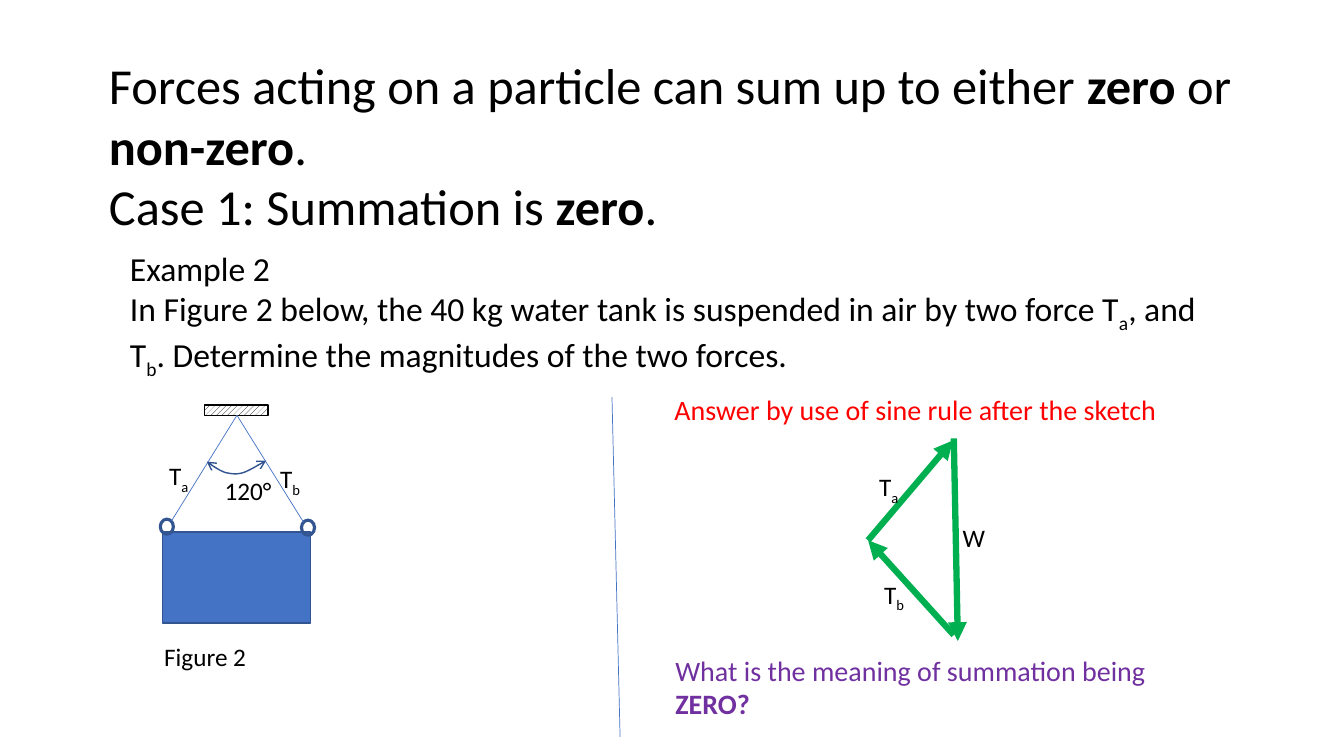
from dataclasses import dataclass

from lxml import etree
from pptx import Presentation
from pptx.dml.color import RGBColor
from pptx.enum.dml import MSO_PATTERN
from pptx.enum.shapes import MSO_CONNECTOR, MSO_SHAPE
from pptx.enum.text import MSO_ANCHOR, MSO_AUTO_SIZE, PP_ALIGN
from pptx.oxml.ns import qn
from pptx.util import Inches, Pt

STRAIGHT = MSO_CONNECTOR.STRAIGHT
RECTANGLE = MSO_SHAPE.RECTANGLE
OVAL = MSO_SHAPE.OVAL
HATCH = MSO_PATTERN.WIDE_UPWARD_DIAGONAL
TOP = MSO_ANCHOR.TOP
LEFT = PP_ALIGN.LEFT
NO_AUTOFIT = MSO_AUTO_SIZE.NONE


@dataclass(frozen=True)
class Theme:
    font: str = "Calibri"
    black: str = "000000"
    white: str = "FFFFFF"
    blue: str = "4472C4"
    dark_blue: str = "325491"
    green: str = "00B050"
    red: str = "FF0000"
    purple: str = "7030A0"
    title: int = 36
    body: int = 24
    note: int = 20
    label: int = 18


THEME = Theme()


def rgb(value):
    return RGBColor.from_string(value)


def write_text(frame, paragraphs, size=THEME.label, color=THEME.black):
    frame.word_wrap = True
    frame.auto_size = NO_AUTOFIT
    frame.vertical_anchor = TOP
    for index, parts in enumerate(paragraphs):
        para = frame.add_paragraph() if index else frame.paragraphs[0]
        para.alignment = LEFT
        para.line_spacing = 1.0
        para.space_before = Pt(0)
        for text, style in parts:
            span = para.add_run()
            span.text = text
            span.font.name = THEME.font
            span.font.size = Pt(size)
            span.font.color.rgb = rgb(color)
            span.font.bold = style == "bold"
            if style == "sub":
                span._r.get_or_add_rPr().set("baseline", "-25000")


def plain(text):
    return [[(text, "")]]


def tension(letter):
    return [[("T", ""), (letter, "sub")]]


def bezier(start, first, second, end, steps=8):
    for step in range(1, steps + 1):
        t = step / steps
        weights = ((1 - t) ** 3, 3 * t * (1 - t) ** 2, 3 * t * t * (1 - t), t ** 3)
        points = (start, first, second, end)
        yield tuple(Inches(sum(w * p[axis] for w, p in zip(weights, points)))
                    for axis in (0, 1))


class Slide:
    def __init__(self, deck):
        self.theme = THEME
        self.page = deck.slides.add_slide(deck.slide_layouts[5])

    def title(self, area, paragraphs):
        box = self.page.shapes.title
        box.left, box.top, box.width, box.height = map(Inches, area)
        write_text(box.text_frame, paragraphs, size=self.theme.title)

    def text(self, area, paragraphs, **style):
        box = self.page.shapes.add_textbox(*map(Inches, area))
        write_text(box.text_frame, paragraphs, **style)

    def outline(self, item, color, width, **ends):
        item.line.color.rgb = rgb(color)
        item.line.width = Pt(width)
        line = item.line._get_or_add_ln()
        for end, kind in ends.items():
            etree.SubElement(line, qn(f"a:{end}"), type=kind)

    def line(self, start, end, color, width, **ends):
        item = self.page.shapes.add_connector(
            STRAIGHT, *map(Inches, (*start, *end)))
        self.outline(item, color, width, **ends)
        etree.SubElement(item._element.spPr, qn("a:effectLst"))

    def shape(self, kind, area, color, width, fill=None, pattern=None):
        item = self.page.shapes.add_shape(kind, *map(Inches, area))
        item.shadow.inherit = False
        if pattern:
            item.fill.patterned()
            item.fill.pattern = pattern
            item.fill.fore_color.rgb = rgb(self.theme.black)
            item.fill.back_color.rgb = rgb(self.theme.white)
        elif fill:
            item.fill.solid()
            item.fill.fore_color.rgb = rgb(fill)
        else:
            item.fill.background()
        self.outline(item, color, width)

    def curve(self, start, segments, color, width, **ends):
        builder = self.page.shapes.build_freeform(*map(Inches, start))
        for segment in segments:
            builder.add_line_segments(list(bezier(start, *segment)), close=False)
            start = segment[-1]
        item = builder.convert_to_shape()
        item.shadow.inherit = False
        item.fill.background()
        self.outline(item, color, width, **ends)


def add_problem(slide):
    slide.title((0.98, 0.49, 11.51, 1.92), [
        [("Forces acting on a particle can sum up to either ", ""), ("zero", "bold"),
         (" or ", ""), ("non-zero", "bold"), (".", "")],
        [("Case 1: Summation is ", ""), ("zero", "bold"), (".", "")],
    ])
    slide.text((1.19, 2.41, 11.09, 1.31), [
        [("Example 2", "")],
        [("In Figure 2 below, the 40 kg water tank is suspended in air by two force T", ""),
         ("a", "sub"), (", and T", ""), ("b", "sub"),
         (". Determine the magnitudes of the two forces.", "")],
    ], size=THEME.body)
    slide.line((6.07, 3.94), (6.15, 7.31), THEME.blue, 0.5)


def add_tank(slide):
    slide.shape(RECTANGLE, (1.61, 5.28, 1.47, 0.9), THEME.dark_blue, 1, fill=THEME.blue)
    for left, top in ((1.59, 5.15), (2.99, 5.16)):
        slide.shape(OVAL, (left, top, 0.13, 0.15), THEME.dark_blue, 2.25)
    slide.shape(RECTANGLE, (2.03, 4.02, 0.63, 0.1), THEME.black, 1, pattern=HATCH)
    for ring in ((1.7, 5.17), (3.01, 5.18)):
        slide.line(ring, (2.35, 4.12), THEME.blue, 0.5)
    slide.curve((2.05, 4.58), [
        ((2.12, 4.63), (2.18, 4.67), (2.24, 4.69)),
        ((2.3, 4.7), (2.34, 4.71), (2.41, 4.69)),
        ((2.47, 4.67), (2.55, 4.62), (2.64, 4.57)),
    ], THEME.dark_blue, 1, headEnd="arrow", tailEnd="arrow")
    slide.text((1.58, 4.52, 0.48, 0.4), tension("a"))
    slide.text((2.68, 4.55, 0.48, 0.4), tension("b"))
    slide.text((2.13, 4.67, 0.67, 0.4), plain("120°"))
    slide.text((1.53, 6.31, 2.41, 0.4), plain("Figure 2"))


def add_force_triangle(slide):
    for start, end in (((9.46, 4.35), (9.5, 6.36)),
                       ((9.46, 6.3), (8.61, 5.36)),
                       ((8.61, 5.36), (9.45, 4.37))):
        slide.line(start, end, THEME.green, 4.5, tailEnd="triangle")
    slide.text((8.62, 4.63, 0.48, 0.4), tension("a"))
    slide.text((8.67, 5.7, 0.48, 0.4), tension("b"))
    slide.text((9.45, 5.13, 0.48, 0.4), plain("W"))
    slide.text((6.59, 3.84, 5.25, 0.44),
               plain("Answer by use of sine rule after the sketch"),
               size=THEME.note, color=THEME.red)
    slide.text((6.6, 6.43, 5.57, 0.77),
               [[("What is the meaning of summation being ", ""), ("ZERO?", "bold")]],
               size=THEME.note, color=THEME.purple)


def main():
    deck = Presentation()
    deck.slide_width, deck.slide_height = Inches(13.33), Inches(7.5)
    slide = Slide(deck)
    add_problem(slide)
    add_tank(slide)
    add_force_triangle(slide)
    deck.save("out.pptx")


if __name__ == "__main__":
    main()
